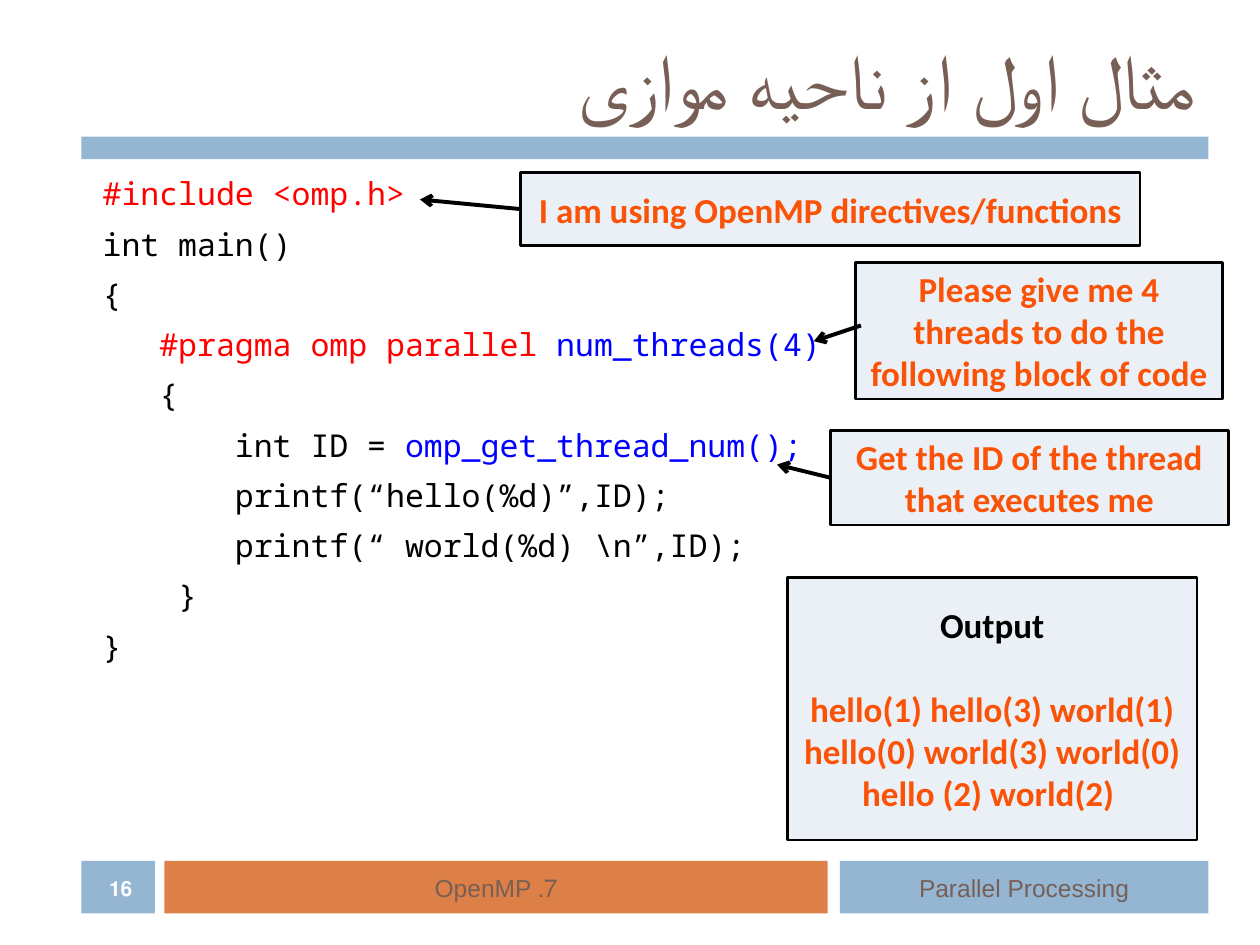
from lxml import etree
from pptx import Presentation
from pptx.dml.color import RGBColor
from pptx.enum.shapes import MSO_CONNECTOR, MSO_SHAPE
from pptx.enum.text import MSO_ANCHOR, PP_ALIGN
from pptx.oxml.ns import qn
from pptx.util import Pt

RECTANGLE = MSO_SHAPE.RECTANGLE
STRAIGHT = MSO_CONNECTOR.STRAIGHT
TOP, MIDDLE = MSO_ANCHOR.TOP, MSO_ANCHOR.MIDDLE
LEFT, CENTER, RIGHT = PP_ALIGN.LEFT, PP_ALIGN.CENTER, PP_ALIGN.RIGHT

BLUE_BAR = RGBColor(0x94, 0xB6, 0xD2)
ORANGE_BAR = RGBColor(0xDD, 0x80, 0x47)
BROWN = RGBColor(0x77, 0x5F, 0x55)
NOTE_FILL = RGBColor(0xEA, 0xF0, 0xF6)
NOTE_TEXT = RGBColor(0xFA, 0x52, 0x06)
BLACK = RGBColor(0, 0, 0)
WHITE = RGBColor(0xFF, 0xFF, 0xFF)
RED = RGBColor(0xFF, 0, 0)
BLUE = RGBColor(0, 0, 0xFF)

FOOTER_TOP, FOOTER_HEIGHT = 492, 30

# Each code line is a list of (text, colour) runs
CODE_LINES = [
    [("#include <omp.h>", RED)],
    [("int main()", BLACK)],
    [("{", BLACK)],
    [("   #pragma omp parallel ", RED), ("num_threads(4)", BLUE)],
    [("   {", BLACK)],
    [("       int ID = ", BLACK), ("omp_get_thread_num();", BLUE)],
    [("       printf(“hello(%d)”,ID);", BLACK)],
    [("       printf(“ world(%d) \\n”,ID);", BLACK)],
    [("    }", BLACK)],
    [("}", BLACK)],
]

# Note text, box (left, top, width, height), arrow start and end
NOTES = [
    ("I am using OpenMP directives/functions",
     (297.5, 98.5, 354, 42), (297.5, 119.5), (240, 114)),
    ("Please give me 4 threads to do the following block of code",
     (488.75, 150, 210, 78), (492, 186), (465, 195)),
    ("Get the ID of the thread that executes me",
     (474.5, 246, 227.5, 54), (474.5, 273), (444, 265.5)),
]


def add_run(paragraph, text, font_name, size, color, bold=False):
    run = paragraph.add_run()
    run.text = text
    run.font.name = font_name
    run.font.size = Pt(size)
    run.font.bold = bold
    run.font.color.rgb = color


def set_right_to_left(paragraph):
    paragraph._p.get_or_add_pPr().set("rtl", "1")


def add_text_box(slide, box, anchor):
    frame = slide.shapes.add_textbox(*map(Pt, box)).text_frame
    frame.word_wrap = True
    frame.vertical_anchor = anchor
    return frame


def add_rectangle(slide, box, fill, outlined=False):
    shape = slide.shapes.add_shape(RECTANGLE, *map(Pt, box))
    shape.shadow.inherit = False
    shape.fill.solid()
    shape.fill.fore_color.rgb = fill
    if outlined:
        shape.line.color.rgb = BLACK
        shape.line.width = Pt(1.5)
    else:
        shape.line.fill.background()
    frame = shape.text_frame
    frame.word_wrap = True
    frame.vertical_anchor = MIDDLE
    frame.paragraphs[0].alignment = CENTER
    return frame


def add_arrow(slide, start, end):
    connector = slide.shapes.add_connector(STRAIGHT, *map(Pt, start + end))
    connector.line.color.rgb = BLACK
    connector.line.width = Pt(2.25)
    line = connector.line._get_or_add_ln()
    etree.SubElement(line, qn("a:tailEnd"), type="arrow")
    etree.SubElement(connector._element.spPr, qn("a:effectLst"))


def add_title(slide):
    paragraph = add_text_box(slide, (48, 18, 642.5, 54), MIDDLE).paragraphs[0]
    paragraph.alignment = RIGHT
    set_right_to_left(paragraph)
    add_run(paragraph, "مثال اول از ناحیه موازی", "Calibri", 44, BROWN)


def add_code(slide):
    frame = add_text_box(slide, (48, 96, 642.5, 384), TOP)
    for index, runs in enumerate(CODE_LINES):
        paragraph = frame.add_paragraph() if index else frame.paragraphs[0]
        paragraph.alignment = LEFT
        paragraph._p.get_or_add_pPr().set("marL", str(Pt(3.6)))
        paragraph.line_spacing = Pt(21.7)
        paragraph.space_before = Pt(7 if index else 0)
        for text, color in runs:
            add_run(paragraph, text, "Noto Sans Mono", 18, color)


def add_footer(slide):
    for left, width, fill, text in [(480, 210.5, BLUE_BAR, "Parallel Processing"),
                                    (94, 379, ORANGE_BAR, "7. OpenMP")]:
        box = (left, FOOTER_TOP, width, FOOTER_HEIGHT)
        paragraph = add_rectangle(slide, box, fill).paragraphs[0]
        set_right_to_left(paragraph)
        add_run(paragraph, text, "Arial", 14, BROWN)

    # Slide number
    add_rectangle(slide, (46.5, FOOTER_TOP, 42, FOOTER_HEIGHT), BLUE_BAR)
    paragraph = add_text_box(slide, (48, 498, 42, 19.5), MIDDLE).paragraphs[0]
    paragraph.alignment = CENTER
    set_right_to_left(paragraph)
    add_run(paragraph, "16", "Arial", 11.9, WHITE, bold=True)


def add_output(slide):
    frame = add_rectangle(slide, (450, 330, 234, 150), NOTE_FILL, outlined=True)
    add_run(frame.paragraphs[0], "Output", "Calibri", 20, BLACK, bold=True)
    paragraph = frame.add_paragraph()
    paragraph.alignment = CENTER
    paragraph.space_before = Pt(24)
    add_run(paragraph,
            "hello(1) hello(3) world(1) hello(0) world(3) world(0) hello (2) world(2) ",
            "Calibri", 20, NOTE_TEXT, bold=True)


def main():
    presentation = Presentation()
    presentation.slide_width = Pt(720)
    presentation.slide_height = Pt(540)
    slide = presentation.slides.add_slide(presentation.slide_layouts[6])

    # Title, rule, code and footer
    add_rectangle(slide, (46.5, 78, 644, 13), BLUE_BAR)
    add_title(slide)
    add_code(slide)
    add_footer(slide)

    # Notes pointing at the code
    for text, box, start, end in NOTES:
        frame = add_rectangle(slide, box, NOTE_FILL, outlined=True)
        add_run(frame.paragraphs[0], text, "Calibri", 20, NOTE_TEXT, bold=True)
        add_arrow(slide, start, end)

    add_output(slide)
    presentation.save("out.pptx")


if __name__ == "__main__":
    main()
